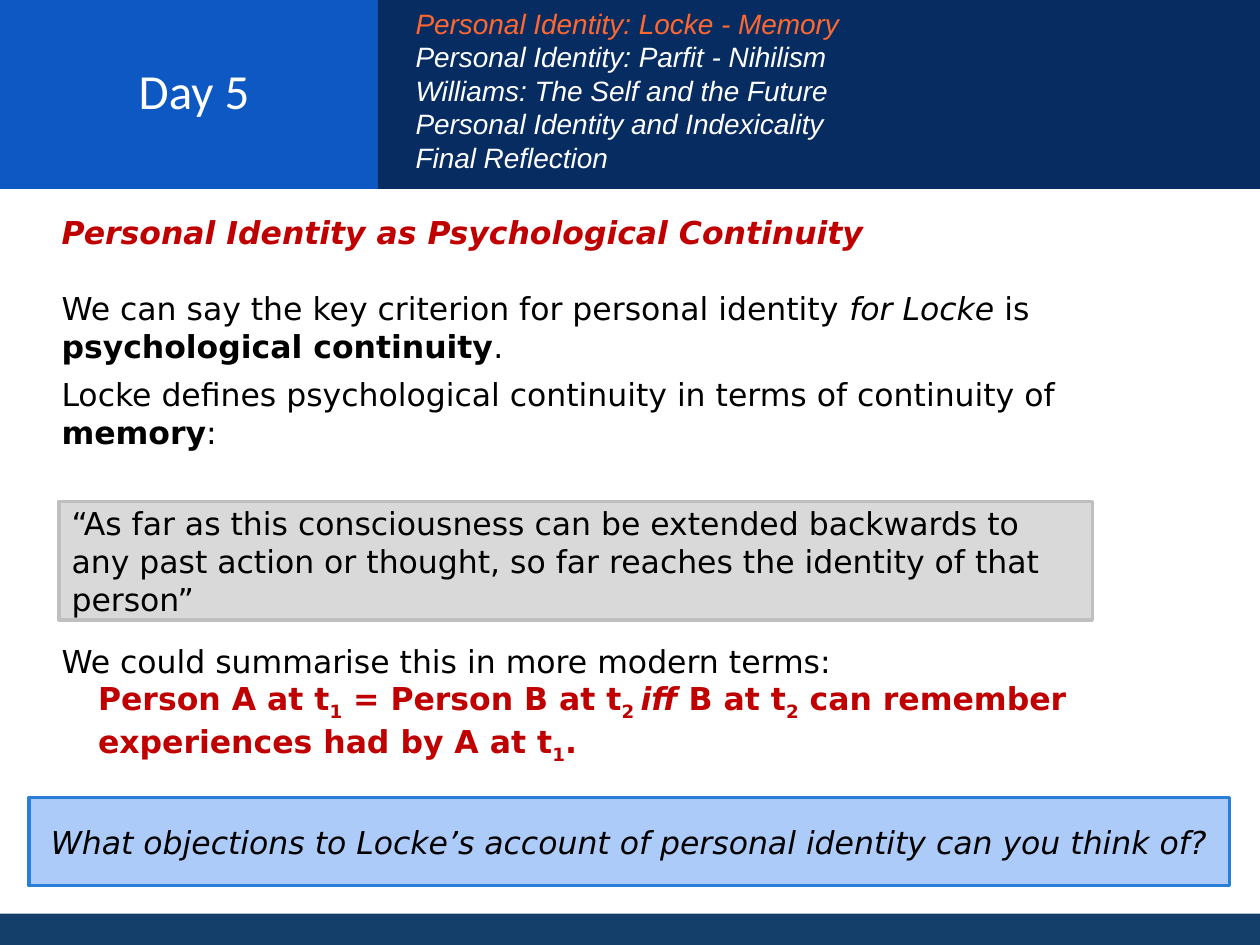
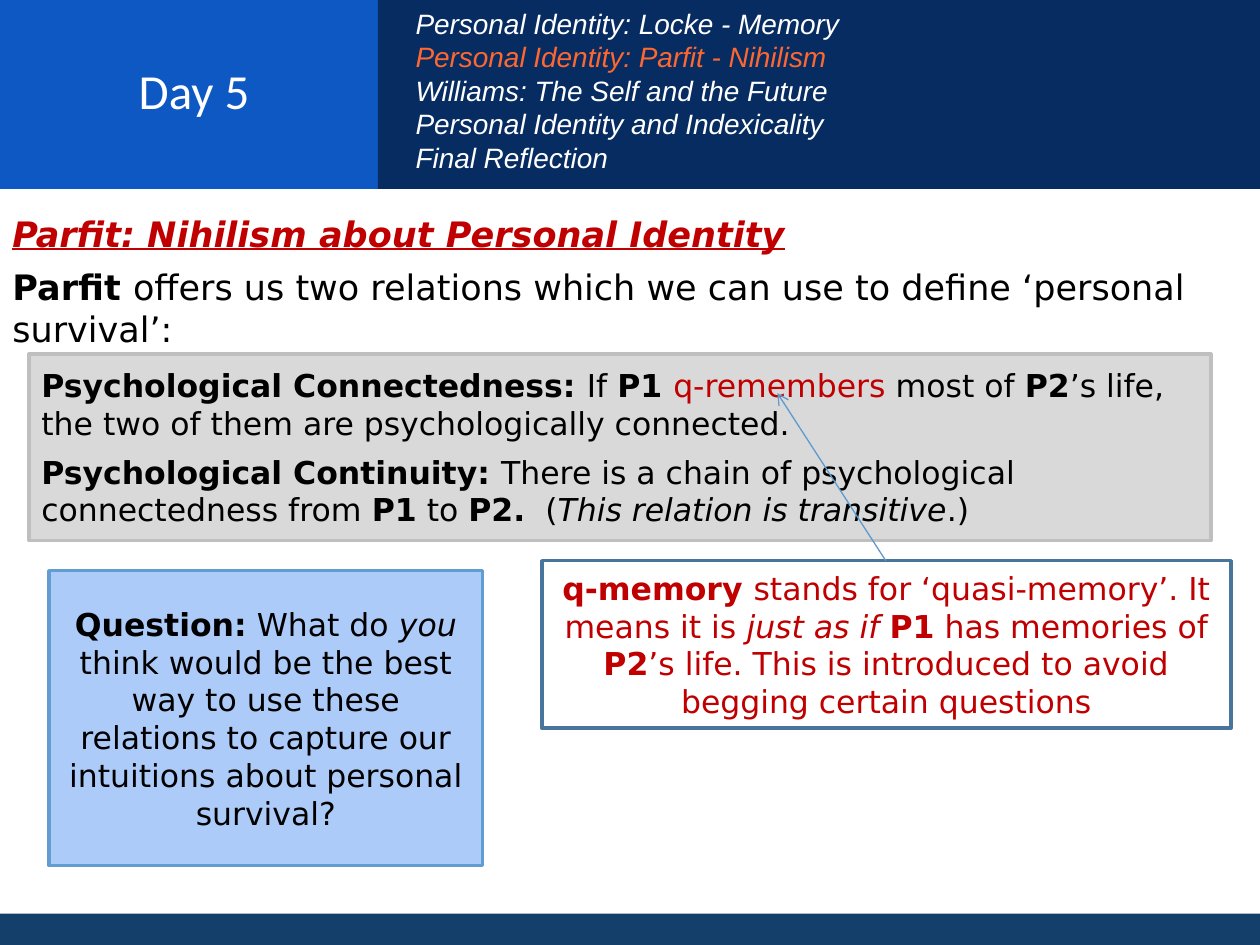
"""Build two philosophy slides on Locke and Parfit."""
from lxml.etree import SubElement
from pptx import Presentation
from pptx.dml.color import RGBColor
from pptx.enum.shapes import MSO_CONNECTOR, MSO_SHAPE
from pptx.enum.text import MSO_ANCHOR, PP_ALIGN
from pptx.oxml.ns import qn
from pptx.util import Inches, Pt

BLACK = RGBColor(0x00, 0x00, 0x00)
WHITE = RGBColor(0xFF, 0xFF, 0xFF)
RED = RGBColor(0xC0, 0x00, 0x00)
CORAL = RGBColor(0xFF, 0x67, 0x30)
BLUE = RGBColor(0x0E, 0x58, 0xC4)
NAVY = RGBColor(0x07, 0x2C, 0x62)
STEEL = RGBColor(0x14, 0x3F, 0x6A)
GREY = RGBColor(0xD9, 0xD9, 0xD9)
SILVER = RGBColor(0xBF, 0xBF, 0xBF)
PALE = RGBColor(0xAC, 0xCB, 0xF9)
AZURE = RGBColor(0x29, 0x7F, 0xD5)
SKY = RGBColor(0x62, 0x9D, 0xD1)
SLATE = RGBColor(0x49, 0x74, 0x9B)
ARROW = RGBColor(0x5D, 0x9A, 0xCF)

INKS = {"r": RED, "w": WHITE, "o": CORAL}
BODY = "DejaVu Sans"
LEFT, MID = PP_ALIGN.LEFT, PP_ALIGN.CENTER
TOPICS = [
    "Personal Identity: Locke - Memory",
    "Personal Identity: Parfit - Nihilism",
    "Williams: The Self and the Future",
    "Personal Identity and Indexicality",
    "Final Reflection",
]

deck = Presentation()
deck.slide_width, deck.slide_height = Inches(10), Inches(7.5)
COLS, ROWS = 100, 75
COL, ROW = deck.slide_width / COLS, deck.slide_height / ROWS
HEAD, SPLIT, FOOT = 15, 30, 2.5


def put(slide, spot, fill=None, edge=None):
    """Place a text box, or a filled box, on the grid."""
    x, y, w, h = spot
    area = int(x * COL), int(y * ROW), int(w * COL), int(h * ROW)
    if fill is None:
        box = slide.shapes.add_textbox(*area)
    else:
        box = slide.shapes.add_shape(MSO_SHAPE.RECTANGLE, *area)
        box.shadow.inherit = False
        box.fill.solid()
        box.fill.fore_color.rgb = fill
        if edge is None:
            box.line.fill.background()
        else:
            box.line.color.rgb = edge
            box.line.width = Pt(2)
        box.text_frame.vertical_anchor = MSO_ANCHOR.MIDDLE
    box.text_frame.word_wrap = True
    return box.text_frame


def write(frame, lines, size=18, face=BODY, align=LEFT):
    """Add lines of (gap, runs); marks are b, i, u, s for sub, and inks."""
    for n, (gap, runs) in enumerate(lines):
        para = frame.add_paragraph() if n else frame.paragraphs[0]
        para.alignment = align
        para.space_before = Pt(gap)
        for words, marks in runs:
            run = para.add_run()
            run.text = words
            font = run.font
            font.name, font.size = face, Pt(size)
            font.bold, font.italic = "b" in marks, "i" in marks
            font.underline = "u" in marks
            font.color.rgb = next((INKS[m] for m in marks if m in INKS), BLACK)
            if "s" in marks:
                run._r.get_or_add_rPr().set("baseline", "-25000")


pages = []
for topic in TOPICS[:2]:
    page = deck.slides.add_slide(deck.slide_layouts[6])
    put(page, (0, ROWS - FOOT, COLS, FOOT), STEEL)
    put(page, (0, 0, SPLIT, HEAD), BLUE)
    put(page, (SPLIT, 0, COLS - SPLIT, HEAD), NAVY)
    title = put(page, (2, 0, 26.8, 14.3))
    title.vertical_anchor = MSO_ANCHOR.MIDDLE
    write(title, [(0, [("Day 5", "w")])], 28, "Calibri", MID)
    menu = [(0, [(t, "io" if t == topic else "iw")]) for t in TOPICS]
    write(put(page, (32, 0, 47.7, 15)), menu, 16, "Arial")
    pages.append(page)
locke, parfit = pages

body = put(locke, (3.9, 16.4, 90.6, 50.3))
write(body, [
    (0, [("Personal Identity as Psychological Continuity", "bir")]),
    (22, [("We can say the key criterion for personal identity ", ""),
          ("for Locke", "i"), (" is ", ""),
          ("psychological continuity", "b"), (".", "")]),
    (6, [("Locke defines psychological continuity in terms of continuity of ", ""),
         ("memory", "b"), (":", "")]),
    (109, [("We could summarise this in more modern terms:", "")]),
    (0, [("Person A at t", "br"), ("1", "brs"), (" = Person B at t", "br"),
         ("2 ", "brs"), ("iff ", "bir"), ("B at t", "br"), ("2", "brs"),
         (" can remember experiences had by A at t", "br"),
         ("1", "brs"), (".", "br")]),
])
rule = body.paragraphs[-1]._p.get_or_add_pPr()
rule.set("marL", str(Inches(0.29)))
rule.set("indent", "0")

write(put(locke, (4.7, 39.8, 82, 9.4), GREY, SILVER), [
    (0, [("“As far as this consciousness can be extended backwards to any past "
          "action or thought, so far reaches the identity of that person”", "")]),
])
write(put(locke, (2.3, 63.3, 95.3, 7), PALE, AZURE), [
    (0, [("What objections to Locke’s account of personal identity "
          "can you think of?", "i")]),
], align=MID)

write(put(parfit, (0, 16.4, 97.7, 11.5)), [
    (0, [("Parfit: Nihilism about Personal Identity", "biur")]),
    (6, [("Parfit ", "b"), ("offers us two relations which we can use to "
                            "define ‘personal survival’:", "")]),
], 20)
write(put(parfit, (2.3, 28.1, 93.8, 14.8), GREY, SILVER), [
    (0, [("Psychological Connectedness: ", "b"), ("If ", ""), ("P1 ", "b"),
         ("q-remembers ", "r"), ("most of ", ""), ("P2", "b"),
         ("’s life, the two of them are psychologically connected.", "")]),
    (6, [("Psychological Continuity: ", "b"),
         ("There is a chain of psychological connectedness from ", ""),
         ("P1", "b"), (" to ", ""), ("P2.", "b"), ("  (", ""),
         ("This relation is transitive", "i"), (".)", "")]),
])
write(put(parfit, (43, 44.5, 54.7, 13.3), WHITE, SLATE), [
    (0, [("q-memory ", "br"),
         ("stands for ‘quasi-memory’. It means it is ", "r"),
         ("just as if ", "ir"), ("P1", "br"), (" has memories of ", "r"),
         ("P2", "br"), ("’s life. This is introduced to avoid begging "
                        "certain questions", "r")]),
], align=MID)

link = parfit.shapes.add_connector(
    MSO_CONNECTOR.STRAIGHT, int(70.3 * COL), int(44.5 * ROW),
    int(61.7 * COL), int(31.2 * ROW))
link.line.color.rgb = ARROW
link.line.width = Pt(0.75)
SubElement(link.line._get_or_add_ln(), qn("a:tailEnd")).set("type", "arrow")
SubElement(link._element.spPr, qn("a:effectLst"))

write(put(parfit, (3.9, 45.3, 34.4, 23.4), PALE, SKY), [
    (0, [("Question:", "b"), (" What do ", ""), ("you", "i"),
         (" think would be the best way to use these relations to capture "
          "our intuitions about personal survival?", "")]),
], align=MID)

deck.save("out.pptx")
